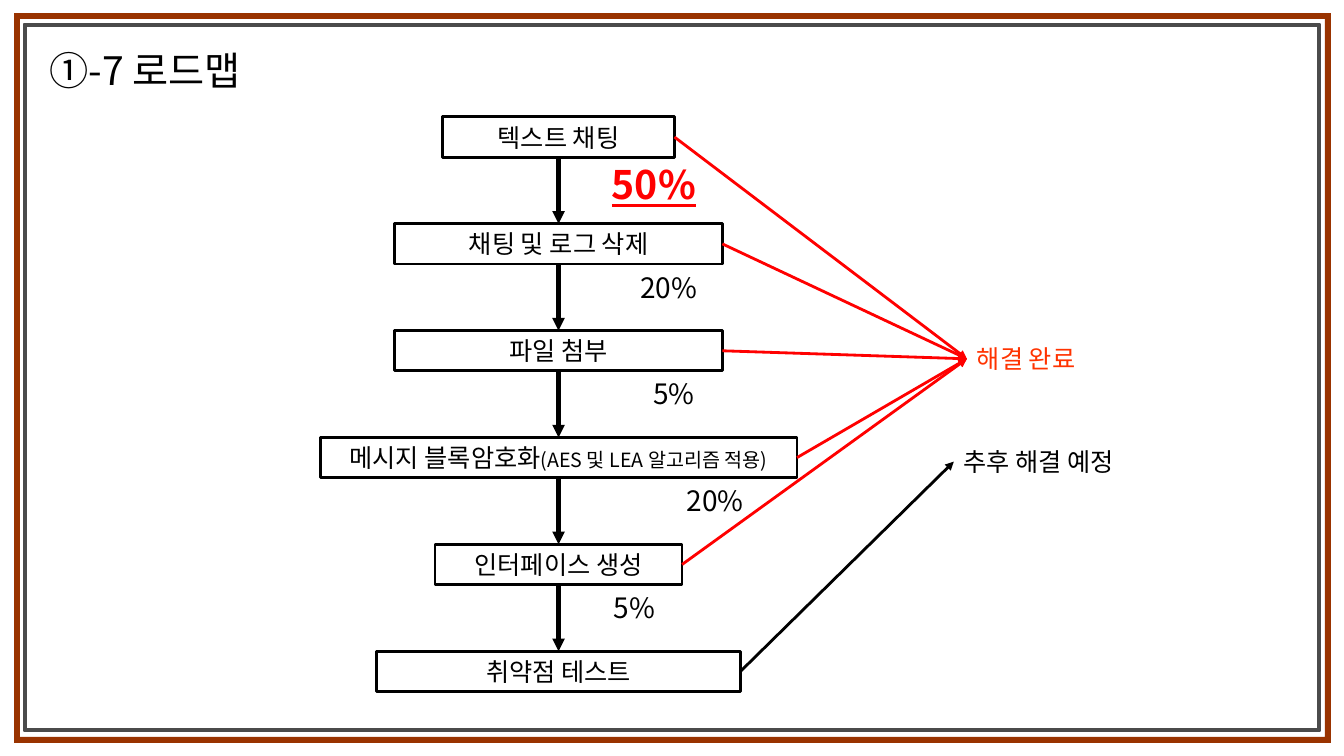
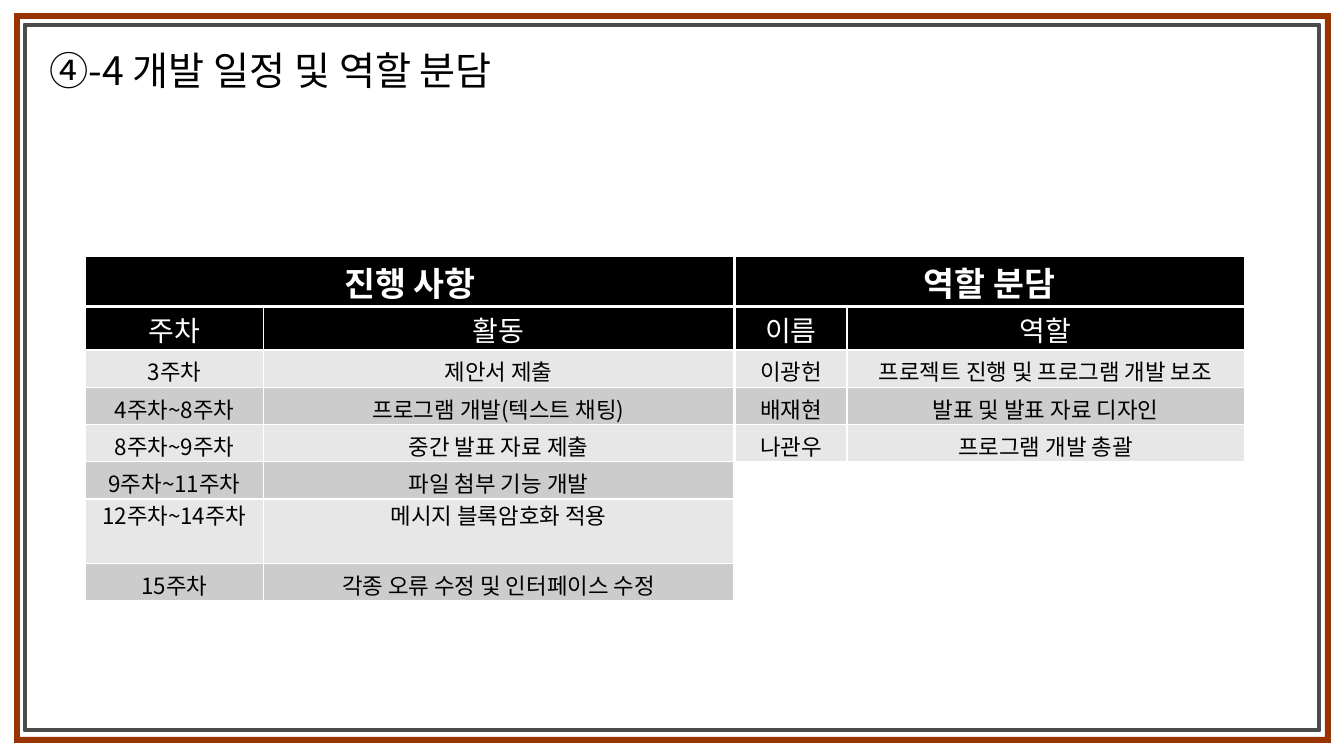
from itertools import pairwise

from lxml.etree import SubElement
from pptx import Presentation
from pptx.dml.color import RGBColor
from pptx.enum.shapes import MSO_CONNECTOR as Connector, MSO_SHAPE as Shape
from pptx.enum.text import MSO_ANCHOR as Anchor, MSO_AUTO_SIZE as AutoSize, PP_ALIGN as Align
from pptx.oxml.ns import qn
from pptx.util import Inches, Pt

FONT = "Noto Sans CJK KR"
LINE_HEIGHT = 1.448
COLORS = {
    "black": "000000",
    "white": "FFFFFF",
    "brown": "993300",
    "gray": "4B4B4B",
    "red": "FF0000",
    "orange": "FF3300",
    "light": "E7E7E7",
    "band": "CCCCCC",
}
CENTER_X = 5.54
STEP_TOP, STEP_GAP, STEP_HEIGHT = 1.16, 1.06, 0.4
STEPS = [
    ([("텍스트 채팅", 18)], 2.3, True),
    ([("채팅 및 로그 삭제", 18)], 3.25, True),
    ([("파일 첨부", 18)], 3.25, True),
    ([("메시지 블록암호화", 18), ("(AES 및 LEA 알고리즘 적용)", 14)], 4.73, True),
    ([("인터페이스 생성", 18)], 2.45, True),
    ([("취약점 테스트", 18)], 3.61, False),
]
PERCENTS = [
    ("20%", 6.25, 2.63),
    ("5%", 6.38, 3.68),
    ("20%", 6.71, 4.74),
    ("5%", 5.99, 5.8),
]
SCHEDULE = [
    ("진행 사항", ""),
    ("주차", "활동"),
    ("3주차", "제안서 제출"),
    ("4주차~8주차", "프로그램 개발(텍스트 채팅)"),
    ("8주차~9주차", "중간 발표 자료 제출"),
    ("9주차~11주차", "파일 첨부 기능 개발"),
    ("12주차~14주차", "메시지 블록암호화 적용"),
    ("15주차", "각종 오류 수정 및 인터페이스 수정"),
]
ROLES = [
    ("역할 분담", ""),
    ("이름", "역할"),
    ("이광헌", "프로젝트 진행 및 프로그램 개발 보조"),
    ("배재현", "발표 및 발표 자료 디자인"),
    ("나관우", "프로그램 개발 총괄"),
]


def color(name):
    return RGBColor.from_string(COLORS[name])


def set_font(font, properties, size, color_name, bold=False, underline=False):
    font.name = FONT
    font.size = Pt(size)
    font.bold = bold
    font.underline = underline
    font.color.rgb = color(color_name)
    SubElement(properties, qn("a:ea"), typeface=FONT)


def format_paragraph(paragraph, size, color_name, align=Align.LEFT, **style):
    paragraph.alignment = align
    font = paragraph.font
    properties = paragraph._p.pPr.find(qn("a:defRPr"))
    set_font(font, properties, size, color_name, **style)


def prepare_frame(frame):
    frame.word_wrap = True
    frame.auto_size = AutoSize.NONE
    frame.vertical_anchor = Anchor.MIDDLE
    frame.margin_left = frame.margin_right = Inches(0.1)
    frame.margin_top = frame.margin_bottom = 0


def add_label(slide, text, left, top, width, height, size, color_name="black", **style):
    label = slide.shapes.add_textbox(*map(Inches, (left, top, width, height)))
    prepare_frame(label.text_frame)
    label.text_frame.text = text
    format_paragraph(label.text_frame.paragraphs[0], size, color_name, **style)
    return label


def add_border(slide, left, top, width, height, thickness, color_name, outline=0):
    border = slide.shapes.add_shape(Shape.FRAME, *map(Inches, (left, top, width, height)))
    border.adjustments[0] = thickness
    border.shadow.inherit = False
    border.fill.solid()
    border.fill.fore_color.rgb = color(color_name)
    if outline:
        border.line.color.rgb = color(color_name)
        border.line.width = Pt(outline)
    else:
        border.line.fill.background()


def add_slide(presentation, title_text, title_width):
    slide = presentation.slides.add_slide(presentation.slide_layouts[5])
    title = slide.shapes.title
    title.left, title.top = Inches(0.39), Inches(0.41)
    title.width, title.height = Inches(title_width), Inches(0.57)
    prepare_frame(title.text_frame)
    title.text_frame.text = title_text
    format_paragraph(title.text_frame.paragraphs[0], 28, "black")
    add_border(slide, 0.14, 0.13, 13.06, 7.24, 0.008, "brown")
    add_border(slide, 0.24, 0.24, 12.85, 7.01, 0.003, "gray", 1.5)
    return slide


def add_step(slide, runs, top, width):
    left = CENTER_X - width / 2
    step = slide.shapes.add_shape(
        Shape.RECTANGLE, *map(Inches, (left, top, width, STEP_HEIGHT)))
    step.shadow.inherit = False
    step.fill.background()
    step.line.color.rgb = color("black")
    step.line.width = Pt(2)
    prepare_frame(step.text_frame)
    paragraph = step.text_frame.paragraphs[0]
    paragraph.alignment = Align.CENTER
    for text, size in runs:
        run = paragraph.add_run()
        run.text = text
        set_font(run.font, run._r.get_or_add_rPr(), size, "black")
    return step


def add_arrow(slide, start, start_site, end, end_site, color_name, width):
    arrow = slide.shapes.add_connector(Connector.STRAIGHT, 0, 0, 0, 0)
    arrow.begin_connect(start, start_site)
    arrow.end_connect(end, end_site)
    arrow.line.color.rgb = color(color_name)
    arrow.line.width = Pt(width)
    SubElement(arrow.line._get_or_add_ln(), qn("a:tailEnd"), type="triangle")
    SubElement(arrow._element.spPr, qn("a:effectLst"))


def add_cell_borders(cell, bottom_width):
    properties = cell._tc.get_or_add_tcPr()
    for side, width in (("L", 1), ("R", 1), ("T", 1), ("B", bottom_width)):
        line = SubElement(properties, qn(f"a:ln{side}"), w=str(Pt(width)))
        fill = SubElement(line, qn("a:solidFill"))
        SubElement(fill, qn("a:srgbClr"), val=COLORS["white"])


def format_cell(cell, text, row_index, height):
    size = {0: 24, 1: 20}.get(row_index, 16)
    is_header = row_index < 2
    fill_name = "black" if is_header else ("light", "band")[row_index % 2]
    spare = height - LINE_HEIGHT * size / 72
    cell.margin_top = Inches(0 if height > 0.6 else max(0, min(0.05, spare)))
    cell.margin_bottom = 0
    cell.text = text
    format_paragraph(cell.text_frame.paragraphs[0], size,
                     "white" if is_header else "black", Align.CENTER, bold=row_index == 0)
    add_cell_borders(cell, 3 if row_index == 0 else 1)
    cell.fill.solid()
    cell.fill.fore_color.rgb = color(fill_name)


def add_plan_table(slide, rows, left, column_widths, tall_row=None):
    heights = [0.5, 0.43] + [0.37] * (len(rows) - 2)
    if tall_row is not None:
        heights[tall_row] = 0.64
    table = slide.shapes.add_table(
        len(rows), 2, Inches(left), Inches(2.54),
        Inches(sum(column_widths)), Inches(sum(heights))).table
    table.first_row = table.horz_banding = False
    for column, width in zip(table.columns, column_widths):
        column.width = Inches(width)
    for row_index, (texts, height) in enumerate(zip(rows, heights)):
        table.rows[row_index].height = Inches(height)
        for column_index, text in enumerate(texts):
            format_cell(table.cell(row_index, column_index), text, row_index, height)
    table.cell(0, 0).merge(table.cell(0, 1))


def build_roadmap(presentation):
    slide = add_slide(presentation, "①-7 로드맵", 2.29)
    done = add_label(slide, "해결 완료", 9.59, 3.36, 1.3, 0.4, 18, "orange")
    later = add_label(slide, "추후 해결 예정", 9.46, 4.38, 1.9, 0.4, 18)
    steps = [add_step(slide, runs, STEP_TOP + index * STEP_GAP, width)
             for index, (runs, width, _) in enumerate(STEPS)]
    for upper, lower in pairwise(steps):
        add_arrow(slide, upper, 2, lower, 0, "black", 3)
    for step, (_, _, finished) in zip(steps, STEPS):
        target, color_name = (done, "red") if finished else (later, "black")
        add_arrow(slide, step, 3, target, 1, color_name, 2)
    add_label(slide, "50%", 5.97, 1.54, 1.08, 0.57, 28, "red", bold=True, underline=True)
    for text, left, top in PERCENTS:
        add_label(slide, text, left, top, 0.91, 0.44, 20)


def build_schedule(presentation):
    slide = add_slide(presentation, "④-4 개발 일정 및 역할 분담", 5.2)
    add_plan_table(slide, SCHEDULE, 0.85, (1.76, 4.67), tall_row=6)
    add_plan_table(slide, ROLES, 7.29, (1.11, 3.94))


def main():
    presentation = Presentation()
    presentation.slide_width = Inches(13.33)
    presentation.slide_height = Inches(7.5)
    build_roadmap(presentation)
    build_schedule(presentation)
    presentation.save("out.pptx")


if __name__ == "__main__":
    main()
